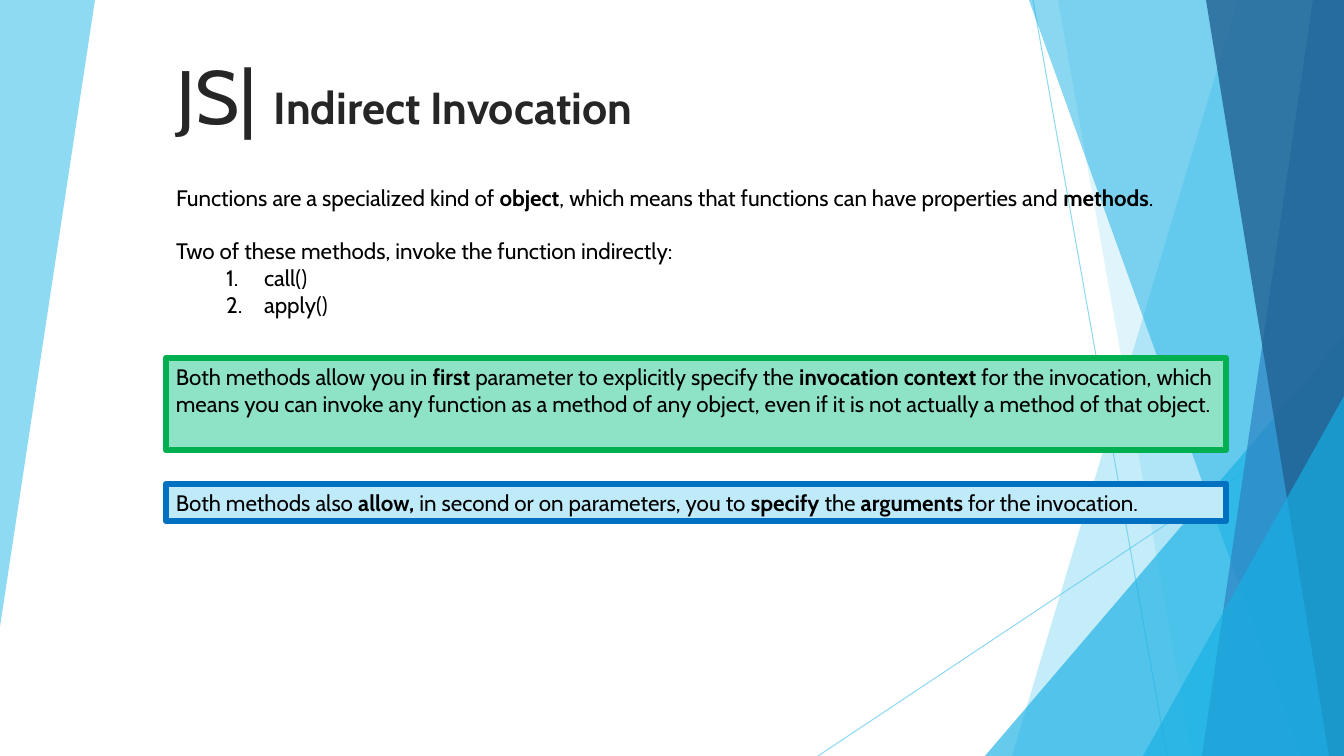
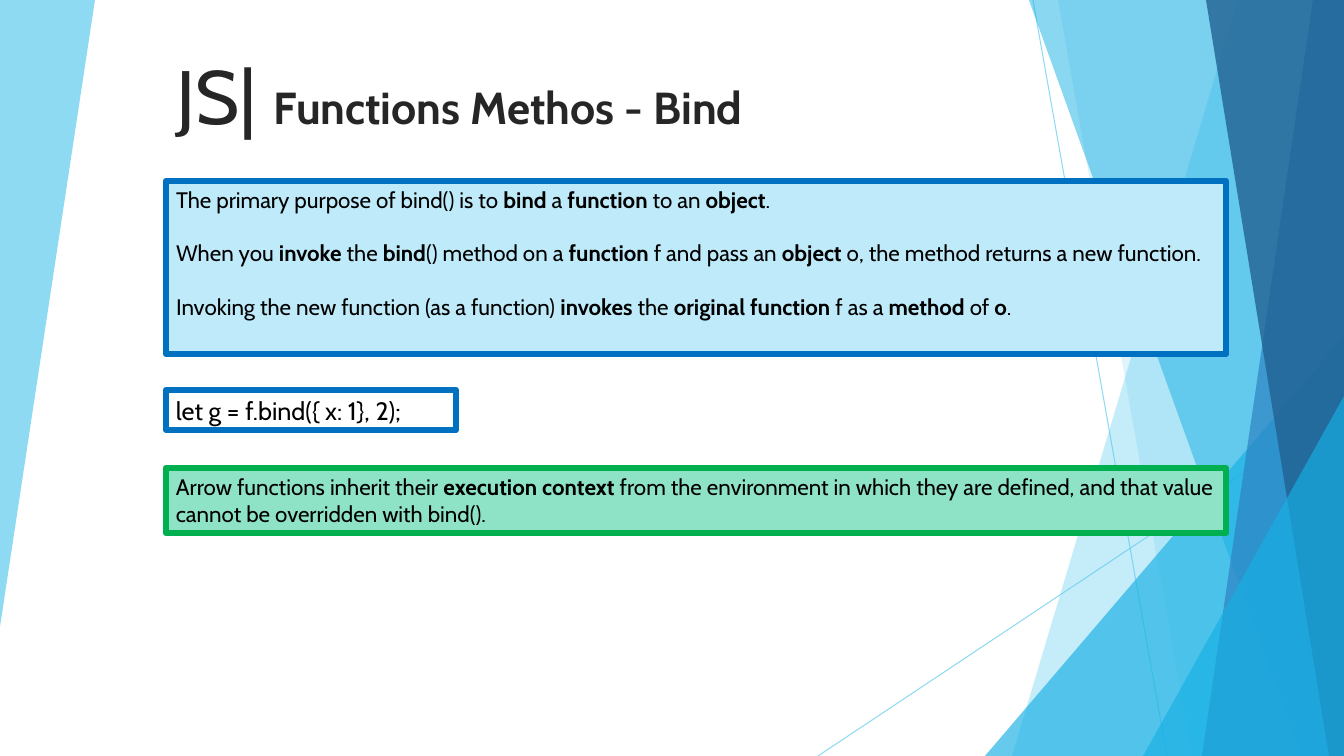
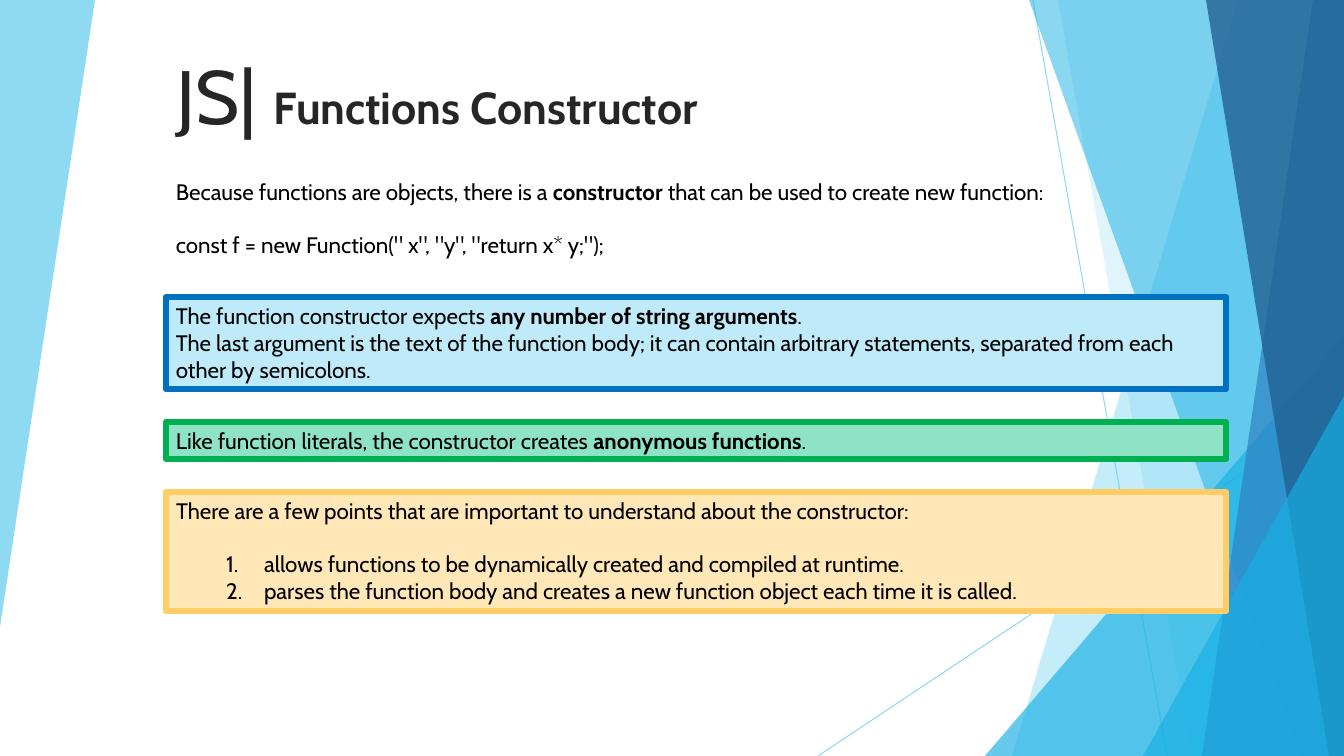
from dataclasses import dataclass

from lxml.etree import SubElement
from pptx import Presentation
from pptx.dml.color import RGBColor
from pptx.enum.shapes import MSO_CONNECTOR, MSO_SHAPE
from pptx.enum.text import MSO_ANCHOR, MSO_AUTO_SIZE, PP_ALIGN
from pptx.oxml.ns import qn
from pptx.util import Pt

WIDTH, HEIGHT = 1344, 756
SCALE = 12192000 / WIDTH  # EMU per px
LEFT, CONTENT_WIDTH = 166, 1060


@dataclass(frozen=True)
class Theme:
    font: str = "Cabin"
    text: str = "000000"
    title: str = "262626"
    sky: str = "5FCBEF"
    cyan: str = "17B0E4"
    blue: str = "2E83C3"
    navy: str = "226292"
    mark_size: int = 54
    title_size: int = 32
    body_size: int = 16
    code_size: int = 18
    blank_line: int = 19
    border: float = 4.5
    hairline: float = 0.75


@dataclass(frozen=True)
class Line:
    text: str  # **double stars** mark bold words
    gap: bool = False
    numbered: bool = False


THEME = Theme()

# Panel looks: fill, border
PLAIN = (None, None)
GREEN = ("8EE3C7", "00B050")
BLUE = ("BFEAF9", "0070C0")
BLUE_OUTLINE = (None, "0070C0")
ORANGE = ("FFE7B7", "FFCC66")


def px(length):
    return round(length * SCALE)


def place(shape, left, top, width, height):
    shape.left, shape.top = px(left), px(top)
    shape.width, shape.height = px(width), px(height)


# Background facets
def set_opacity(shape, percent):
    for color in shape.element.iter(qn("a:srgbClr")):
        SubElement(color, qn("a:alpha"), val=str(percent * 1000))


def paint_facet(shape, color, opacity):
    shape.shadow.inherit = False
    shape.fill.solid()
    shape.fill.fore_color.rgb = RGBColor.from_string(color)
    shape.line.fill.background()
    set_opacity(shape, opacity)
    return shape


def add_polygon(slide, points, color, opacity):
    builder = slide.shapes.build_freeform(*points[0], scale=SCALE)
    builder.add_line_segments(points[1:], close=True)
    return paint_facet(builder.convert_to_shape(), color, opacity)


def add_right_facet(slide, top_x, bottom_x, color, opacity):
    points = [(top_x, 0), (WIDTH, 0), (WIDTH, HEIGHT), (bottom_x, HEIGHT)]
    return add_polygon(slide, points, color, opacity)


def add_corner(slide, left, top):
    shape = slide.shapes.add_shape(MSO_SHAPE.ISOSCELES_TRIANGLE, px(left), px(top),
                                   px(WIDTH - left), px(HEIGHT - top))
    shape.adjustments[0] = 1
    return paint_facet(shape, THEME.cyan, 66)


def add_hairline(slide, *ends):
    connector = slide.shapes.add_connector(MSO_CONNECTOR.STRAIGHT, *map(px, ends))
    connector.line.color.rgb = RGBColor.from_string(THEME.sky)
    connector.line.width = Pt(THEME.hairline)
    SubElement(connector.element.spPr, qn("a:effectLst"))
    set_opacity(connector, 70)
    return connector


def decorate_layout(layout, slide):
    """Draw the facets on a slide, then move them to the layout all slides share."""
    facets = [
        add_polygon(slide, [(0, 0), (95, 0), (0, 627)], THEME.sky, 70),
        add_hairline(slide, 1033, 0, 1167, HEIGHT),
        add_hairline(slide, WIDTH, 406, 818, HEIGHT),
        add_right_facet(slide, 1238, 1012, THEME.sky, 36),
        add_right_facet(slide, 1058, 1192, THEME.sky, 20),
        add_corner(slide, 985, 336),
        add_right_facet(slide, 1029, 1301, THEME.cyan, 50),
        add_right_facet(slide, 1313, 1202, THEME.blue, 70),
        add_right_facet(slide, 1206, 1329, THEME.navy, 80),
        add_corner(slide, 1143, 396),
    ]
    for position, facet in enumerate(facets, start=2):
        layout.shapes.element.insert(position, facet.element)


def style_layout_title(layout):
    title = layout.placeholders[0]
    place(title, LEFT, 38, 856, 107)
    title.text_frame.vertical_anchor = MSO_ANCHOR.BOTTOM
    title.text_frame.auto_size = MSO_AUTO_SIZE.NONE


# Text
def add_run(paragraph, text, size, color, bold=False):
    run = paragraph.add_run()
    run.text = text
    run.font.name = THEME.font
    run.font.size = Pt(size)
    run.font.bold = bold
    run.font.color.rgb = RGBColor.from_string(color)


def set_bullet(paragraph, numbered):
    properties = paragraph._p.get_or_add_pPr()
    properties.set("marL", str(px(88) if numbered else 0))
    properties.set("indent", str(px(-38) if numbered else 0))
    if numbered:
        paragraph.level = 1
        SubElement(properties, qn("a:buFont"), typeface="+mj-lt")
        SubElement(properties, qn("a:buAutoNum"), type="arabicPeriod")
    else:
        SubElement(properties, qn("a:buNone"))


def write_lines(text_frame, lines, size):
    text_frame.word_wrap = True
    text_frame.auto_size = MSO_AUTO_SIZE.NONE
    text_frame.vertical_anchor = MSO_ANCHOR.TOP
    for index, line in enumerate(lines):
        paragraph = text_frame.add_paragraph() if index else text_frame.paragraphs[0]
        set_bullet(paragraph, line.numbered)
        paragraph.alignment = PP_ALIGN.LEFT
        paragraph.space_before = Pt(THEME.blank_line if line.gap else 0)
        for part, text in enumerate(line.text.split("**")):
            if text:
                add_run(paragraph, text, size, THEME.text, bold=part % 2 == 1)


# Panels
def fill_panel(shape, look, lines, size=THEME.body_size):
    fill, border = look
    if fill:
        shape.fill.solid()
        shape.fill.fore_color.rgb = RGBColor.from_string(fill)
    else:
        shape.fill.background()
    if border:
        shape.line.color.rgb = RGBColor.from_string(border)
        shape.line.width = Pt(THEME.border)
    write_lines(shape.text_frame, lines, size)


def set_body(slide, top, height, look, *lines):
    body = slide.placeholders[1]
    place(body, LEFT, top, CONTENT_WIDTH, height)
    fill_panel(body, look, lines)


def add_text(slide, top, height, *lines):
    box = slide.shapes.add_textbox(px(LEFT), px(top), px(CONTENT_WIDTH), px(height))
    fill_panel(box, PLAIN, lines)


def add_panel(slide, top, height, look, *lines, width=CONTENT_WIDTH, size=THEME.body_size):
    shape = slide.shapes.add_shape(MSO_SHAPE.RECTANGLE, px(LEFT), px(top), px(width), px(height))
    shape.shadow.inherit = False
    fill_panel(shape, look, lines, size)


def add_titled_slide(presentation, layout, title):
    slide = presentation.slides.add_slide(layout)
    paragraph = slide.shapes.title.text_frame.paragraphs[0]
    paragraph.alignment = PP_ALIGN.LEFT
    add_run(paragraph, "JS| ", THEME.mark_size, THEME.title)
    add_run(paragraph, title, THEME.title_size, THEME.title, bold=True)
    return slide


# Slides
def fill_invocation(slide):
    set_body(slide, 179, 173, PLAIN,
             Line("Functions are a specialized kind of **object**, which means that functions "
                  "can have properties and **methods**."),
             Line("Two of these methods, invoke the function indirectly:", gap=True),
             Line("call()", numbered=True),
             Line("apply()", numbered=True))
    add_panel(slide, 358, 92, GREEN,
              Line("Both methods allow you in **first** parameter to explicitly specify the "
                   "**invocation context **for the invocation, which means you can invoke any "
                   "function as a method of any object, even if it is not actually a method "
                   "of that object."))
    add_panel(slide, 484, 37, BLUE,
              Line("Both methods also **allow,** in second or on parameters, you to "
                   "**specify** the **arguments** for the invocation."))


def fill_bind(slide):
    set_body(slide, 181, 173, BLUE,
             Line("The primary purpose of bind() is to **bind** a **function** to an **object**."),
             Line("When you **invoke** the **bind**() method on a **function** f and pass an "
                  "**object** o, the method returns a new function.", gap=True),
             Line("Invoking the new function (as a function) **invokes** the "
                  "**original function **f as a **method** of **o**.", gap=True))
    add_panel(slide, 390, 40, BLUE_OUTLINE, Line("let g = f.bind({ x: 1}, 2);"),
              width=290, size=THEME.code_size)
    add_panel(slide, 468, 65, GREEN,
              Line("Arrow functions inherit their **execution context** from the environment in "
                   "which they are defined, and that value cannot be overridden with bind()."))


def fill_constructor(slide):
    add_text(slide, 173, 92,
             Line("Because functions are objects, there is a **constructor **that can be used "
                  "to create new function:"),
             Line('const f = new Function(" x", "y", "return x* y;");', gap=True))
    add_panel(slide, 297, 92, BLUE,
              Line("The function constructor expects **any number of string arguments**."),
              Line("The last argument is the text of the function body; it can contain arbitrary "
                   "statements, separated from each other by semicolons."))
    add_panel(slide, 422, 37, GREEN,
              Line("Like function literals, the constructor creates **anonymous functions**."))
    set_body(slide, 492, 119, ORANGE,
             Line("There are a few points that are important to understand about the constructor:"),
             Line("allows functions to be dynamically created and compiled at runtime.",
                  gap=True, numbered=True),
             Line("parses the function body and creates a new function object each time it is "
                  "called.", numbered=True))


def main():
    presentation = Presentation()
    presentation.slide_width, presentation.slide_height = px(WIDTH), px(HEIGHT)
    layout = presentation.slide_layouts[1]
    style_layout_title(layout)
    contents = [
        ("Indirect Invocation", fill_invocation),
        ("Functions Methos - Bind", fill_bind),
        ("Functions Constructor", fill_constructor),
    ]
    for title, fill_slide in contents:
        fill_slide(add_titled_slide(presentation, layout, title))
    decorate_layout(layout, presentation.slides[0])
    presentation.save("out.pptx")


if __name__ == "__main__":
    main()
